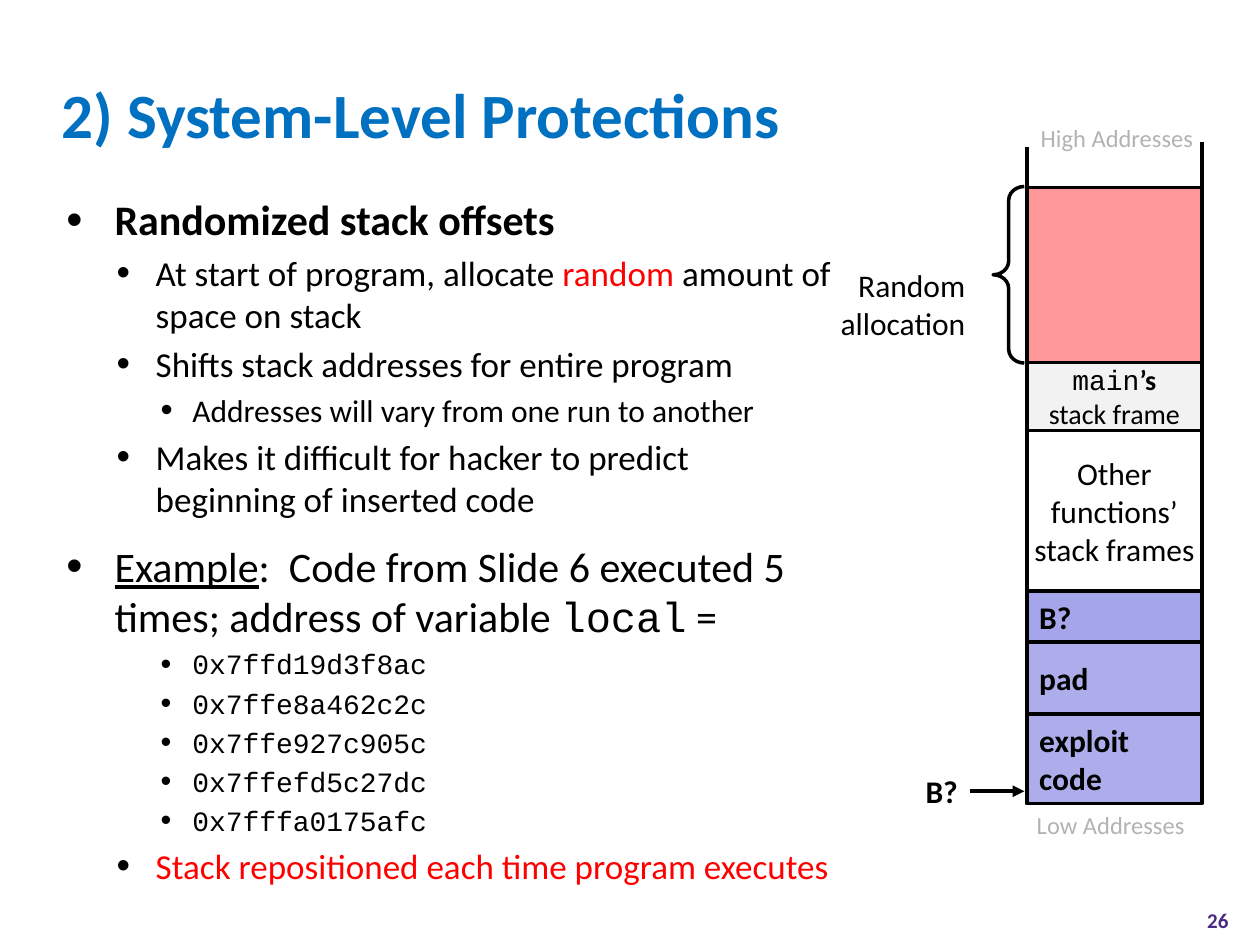
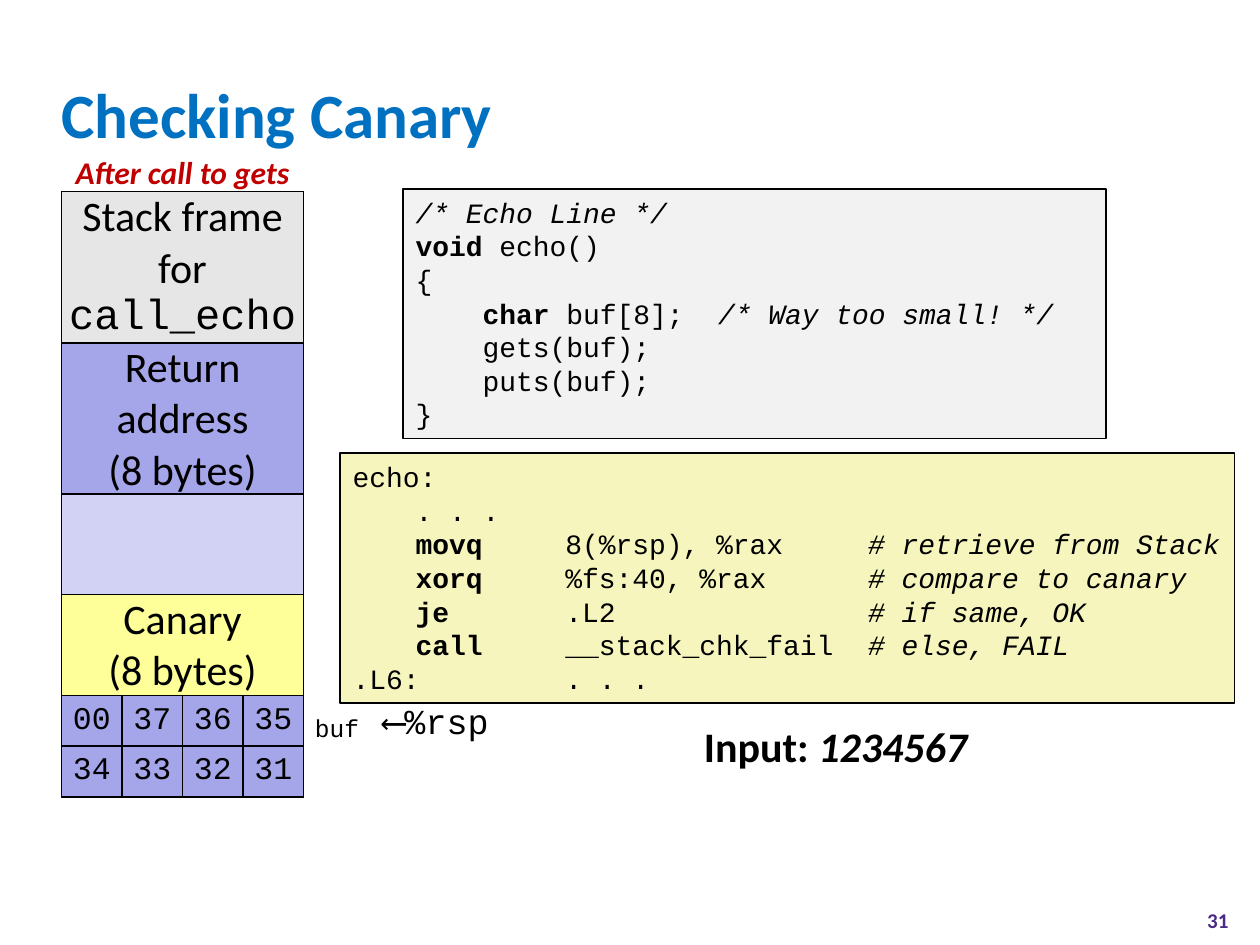
from lxml import etree
from pptx import Presentation
from pptx import util as u
from pptx.dml.color import RGBColor
from pptx.enum import shapes, text
from pptx.oxml import ns

BLACK = RGBColor(0x00, 0x00, 0x00)
WHITE = RGBColor(0xFF, 0xFF, 0xFF)
TITLE_BLUE = RGBColor(0x00, 0x70, 0xC0)
NUMBER_PURPLE = RGBColor(0x4B, 0x2A, 0x85)
RED = RGBColor(0xFF, 0x00, 0x00)
DARK_RED = RGBColor(0xC0, 0x00, 0x00)
LABEL_GRAY = RGBColor(0xB3, 0xB3, 0xB3)
FRAME_GRAY = RGBColor(0xE6, 0xE6, 0xE6)
PALE_GRAY = RGBColor(0xF2, 0xF2, 0xF2)
PINK = RGBColor(0xFF, 0x99, 0x99)
VIOLET = RGBColor(0xA5, 0xA5, 0xE9)
EXPLOIT_VIOLET = RGBColor(0xAD, 0xAD, 0xEB)
PALE_VIOLET = RGBColor(0xD2, 0xD2, 0xF4)
YELLOW = RGBColor(0xFF, 0xFF, 0x99)
CODE_YELLOW = RGBColor(0xF6, 0xF5, 0xBD)
SANS = "Calibri"
MONO = "Courier New"
LEFT, CENTER, RIGHT = text.PP_ALIGN.LEFT, text.PP_ALIGN.CENTER, text.PP_ALIGN.RIGHT
TOP, MIDDLE = text.MSO_ANCHOR.TOP, text.MSO_ANCHOR.MIDDLE
BOLD, ITALIC, CODE = {"bold": True}, {"italic": True}, {"font": MONO}


def write(frame, *runs, size=18, font=SANS, color=BLACK, bold=False, italic=False,
          align=LEFT, before=0, spacing=None, bullet=None, tabs=()):
    paragraph = frame.paragraphs[0]
    if paragraph.runs:
        paragraph = frame.add_paragraph()
    paragraph.alignment = align
    paragraph.space_before = u.Pt(before)
    if spacing:
        paragraph.line_spacing = u.Pt(spacing)
    properties = paragraph._p.get_or_add_pPr()
    if bullet:
        margin, hanging = bullet
        properties.set("marL", str(u.Cm(margin)))
        properties.set("indent", str(-u.Cm(hanging)))
        bullet_color = etree.SubElement(properties, ns.qn("a:buClr"))
        etree.SubElement(bullet_color, ns.qn("a:srgbClr"), val=str(BLACK))
        etree.SubElement(properties, ns.qn("a:buSzPct"), val="110000")
        etree.SubElement(properties, ns.qn("a:buFont"), typeface="Arial")
        etree.SubElement(properties, ns.qn("a:buChar"), char="•")
    if tabs:
        tab_list = etree.SubElement(properties, ns.qn("a:tabLst"))
        for position in tabs:
            etree.SubElement(tab_list, ns.qn("a:tab"), pos=str(u.Cm(position)), algn="l")
    for item in runs:
        content, changes = (item, {}) if isinstance(item, str) else item
        run = paragraph.add_run()
        run.text = content
        run.font.size = u.Pt(size)
        run.font.name = changes.get("font", font)
        run.font.bold = changes.get("bold", bold)
        run.font.italic = changes.get("italic", italic)
        run.font.underline = changes.get("underline", False)
        run.font.color.rgb = changes.get("color", color)


def add_box(slide, left, top, width, height, fill=None, weight=1, anchor=TOP,
            margins=(0.25, 0.13), wrap=False):
    place = u.Cm(left), u.Cm(top), u.Cm(width), u.Cm(height)
    if fill is None:
        shape = slide.shapes.add_textbox(*place)
    else:
        shape = slide.shapes.add_shape(shapes.MSO_SHAPE.RECTANGLE, *place)
        shape.shadow.inherit = False
        shape.fill.solid()
        shape.fill.fore_color.rgb = fill
        shape.line.color.rgb = BLACK
        shape.line.width = u.Pt(weight)
    frame = shape.text_frame
    frame.word_wrap = wrap
    frame.vertical_anchor = anchor
    frame.margin_left = frame.margin_right = u.Cm(margins[0])
    frame.margin_top = frame.margin_bottom = u.Cm(margins[1])
    return shape


presentation = Presentation()
presentation.slide_width = u.Cm(25.4)
presentation.slide_height = u.Cm(19.05)

slides = []
for title, number in [("2) System-Level Protections", "26"), ("Checking Canary", "31")]:
    slide = presentation.slides.add_slide(presentation.slide_layouts[6])
    title_box = add_box(slide, 0.99, 1.22, 23.34, 2.11, anchor=MIDDLE, wrap=True)
    write(title_box.text_frame, title, size=36, color=TITLE_BLUE, bold=True)
    number_box = add_box(slide, 23.7, 18.03, 1.7, 1.02, anchor=MIDDLE, wrap=True)
    write(number_box.text_frame, number, size=12, color=NUMBER_PURPLE, bold=True, align=CENTER)
    slides.append(slide)
protections, canary = slides

LEVELS = [(0.97, 0.97), (1.8, 0.79), (2.54, 0.64)]
body = add_box(protections, 1.09, 3.78, 16, 13.82, wrap=True).text_frame
write(body, "Randomized stack offsets", size=24, bold=True, bullet=LEVELS[0])
for level, size, runs in [
    (1, 20, ["At start of program, allocate ", ("random ", {"color": RED}),
             "amount of space on stack"]),
    (1, 20, ["Shifts stack addresses for entire program"]),
    (2, 18, ["Addresses will vary from one run to another"]),
    (1, 20, ["Makes it difficult for hacker to predict beginning of inserted code"]),
]:
    write(body, *runs, size=size, before=size * 0.2, bullet=LEVELS[level])
write(body, ("Example", {"underline": True}),
      ":  Code from Slide 6 executed 5 times; address of variable ",
      ("local", CODE), " =", size=24, before=12, bullet=LEVELS[0])
for address in ["0x7ffd19d3f8ac", "0x7ffe8a462c2c", "0x7ffe927c905c",
                "0x7ffefd5c27dc", "0x7fffa0175afc"]:
    write(body, address, size=16, font=MONO, before=3.2, bullet=LEVELS[2])
write(body, "Stack repositioned each time program executes", size=20, color=RED,
      before=4, bullet=LEVELS[1])

STACK_LEFT, STACK_WIDTH, STACK_TOP = 20.7, 3.53, 3.78
PLAIN = {"size": 18, "align": CENTER}
STRONG = {"size": 18, "bold": True}
top = STACK_TOP
for height, fill, weight, margins, lines, style in [
    (3.53, PINK, 2, (0, 0), [], PLAIN),
    (1.37, PALE_GRAY, 2, (0, 0), [[("main", CODE), ("’s", BOLD)], ["stack frame"]],
     {"size": 16, "align": CENTER}),
    (3.23, WHITE, 2, (0, 0), [["Other functions’ stack frames"]], PLAIN),
    (1.04, VIOLET, 2.25, (0.25, 0.13), [["B?"]], STRONG),
    (1.45, EXPLOIT_VIOLET, 2.25, (0.25, 0.13), [["pad"]], STRONG),
    (1.8, EXPLOIT_VIOLET, 2.25, (0.25, 0.13), [["exploit"], ["code"]], STRONG),
]:
    region = add_box(protections, STACK_LEFT, top, STACK_WIDTH, height, fill, weight,
                     MIDDLE, margins, wrap=True)
    for line in lines:
        write(region.text_frame, *line, **style)
    top += height

brace = protections.shapes.add_shape(shapes.MSO_SHAPE.LEFT_BRACE, u.Cm(20.02), u.Cm(3.76),
                                     u.Cm(0.63), u.Cm(3.56))
brace.adjustments[0] = 0.44
brace.shadow.inherit = False
brace.fill.background()
brace.line.color.rgb = BLACK
brace.line.width = u.Pt(2)

allocation = add_box(protections, 16.76, 5.26, 2.8, 1.75, margins=(0.1, 0.1))
for word in ["Random", "allocation"]:
    write(allocation.text_frame, word, align=RIGHT)
for label, left, label_top, width in [("High Addresses", 20.73, 2.36, 3.68),
                                      ("Low Addresses", 20.65, 16.2, 3.58)]:
    address_label = add_box(protections, left, label_top, width, 0.86)
    write(address_label.text_frame, label, size=14, color=LABEL_GRAY)

target = add_box(protections, 18.39, 15.44, 1.17, 1.02, anchor=MIDDLE)
write(target.text_frame, "B?", bold=True, align=RIGHT)

connectors = []
for start_x, start_y, end_x, end_y, weight in [
    (19.56, 15.95, 20.65, 15.95, 2.25),
    (STACK_LEFT + STACK_WIDTH, 3.76, STACK_LEFT + STACK_WIDTH, 2.87, 2),
    (STACK_LEFT, 3.86, STACK_LEFT, 2.97, 2),
]:
    connector = protections.shapes.add_connector(
        shapes.MSO_CONNECTOR.STRAIGHT, u.Cm(start_x), u.Cm(start_y), u.Cm(end_x), u.Cm(end_y))
    connector.line.color.rgb = BLACK
    connector.line.width = u.Pt(weight)
    etree.SubElement(connector._element.spPr, ns.qn("a:effectLst"))
    connectors.append(connector)
arrow = connectors[0]
arrow.begin_connect(target, 3)
etree.SubElement(arrow.line._get_or_add_ln(), ns.qn("a:tailEnd"), type="triangle")

assembly = add_box(canary, 6.86, 9.14, 18.03, 5.03, CODE_YELLOW, wrap=True)
assembly_style = {"size": 16, "font": MONO, "tabs": (1.27, 4.29, 10.39)}
write(assembly.text_frame, "echo:", **assembly_style)
write(assembly.text_frame, "\t. . .", **assembly_style)
for instruction, operands, remark in [
    ("movq", "8(%rsp), %rax", "# retrieve from Stack"),
    ("xorq", "%fs:40, %rax", "# compare to canary"),
    ("je", ".L2", "# if same, OK"),
    ("call", "__stack_chk_fail", "# else, FAIL"),
]:
    write(assembly.text_frame, "\t", (instruction, BOLD), f"\t{operands}\t", (remark, ITALIC),
          **assembly_style)
write(assembly.text_frame, ".L6:\t. . .", **assembly_style)

source_code = add_box(canary, 8.13, 3.81, 14.17, 5.03, PALE_GRAY, wrap=True)
for line in [
    [("/* Echo Line */", ITALIC)],
    [("void", BOLD), " echo()"],
    ["{"],
    ["\t", ("char ", BOLD), "buf[8];\t", ("/* Way too small! */", ITALIC)],
    ["\tgets(buf);"],
    ["\tputs(buf);"],
    ["}"],
]:
    write(source_code.text_frame, *line, size=16, font=MONO, tabs=(1.35, 6.1))

row_heights = [3.05, 3.05, 2.03, 2.03, 1.02, 1.02]
row_fills = [FRAME_GRAY, VIOLET, PALE_VIOLET, YELLOW, VIOLET, VIOLET]
table = canary.shapes.add_table(6, 4, u.Cm(1.24), u.Cm(3.86), u.Cm(4.88),
                                u.Cm(sum(row_heights))).table
table.first_row = table.horz_banding = False
for column in table.columns:
    column.width = u.Cm(1.22)
for row, height, fill in zip(table.rows, row_heights, row_fills):
    row.height = u.Cm(height)
    for cell in row.cells:
        cell.margin_left = cell.margin_right = cell.margin_top = cell.margin_bottom = 0
        cell.vertical_anchor = MIDDLE
        for side in ["a:lnL", "a:lnR", "a:lnT", "a:lnB"]:
            border = etree.SubElement(cell._tc.get_or_add_tcPr(), ns.qn(side), w=str(u.Pt(1)))
            border_fill = etree.SubElement(border, ns.qn("a:solidFill"))
            etree.SubElement(border_fill, ns.qn("a:srgbClr"), val=str(BLACK))
        cell.fill.solid()
        cell.fill.fore_color.rgb = fill
for row_index, lines in enumerate([
    [["Stack frame for ", ("call_echo", CODE)]],
    [["Return address"], ["(8 bytes)"]],
    [],
    [["Canary"], ["(8 bytes)"]],
]):
    table.cell(row_index, 0).merge(table.cell(row_index, 3))
    for line in lines:
        write(table.cell(row_index, 0).text_frame, *line, size=24, align=CENTER)
for row_index, values in [(4, ["00", "37", "36", "35"]), (5, ["34", "33", "32", "31"])]:
    for column_index, value in enumerate(values):
        write(table.cell(row_index, column_index).text_frame, value, font=MONO, align=CENTER)

input_box = add_box(canary, 13.94, 14.4, 5.87, 1.27)
write(input_box.text_frame, "Input: ", ("1234567", ITALIC), size=24, bold=True)
buffer_label = add_box(canary, 6.1, 14.15, 1.4, 1.04, anchor=MIDDLE)
write(buffer_label.text_frame, "buf", size=14, font=MONO)
pointer = add_box(canary, 7.52, 14.15, 2.54, 1.04, anchor=MIDDLE, margins=(0, 0))
write(pointer.text_frame, "⟵%rsp", size=20, font=MONO, align=CENTER, spacing=16)
caption = add_box(canary, 1.24, 2.95, 4.88, 1.02)
write(caption.text_frame, "After call to gets", color=DARK_RED, bold=True, italic=True,
      align=CENTER)

presentation.save("out.pptx")
